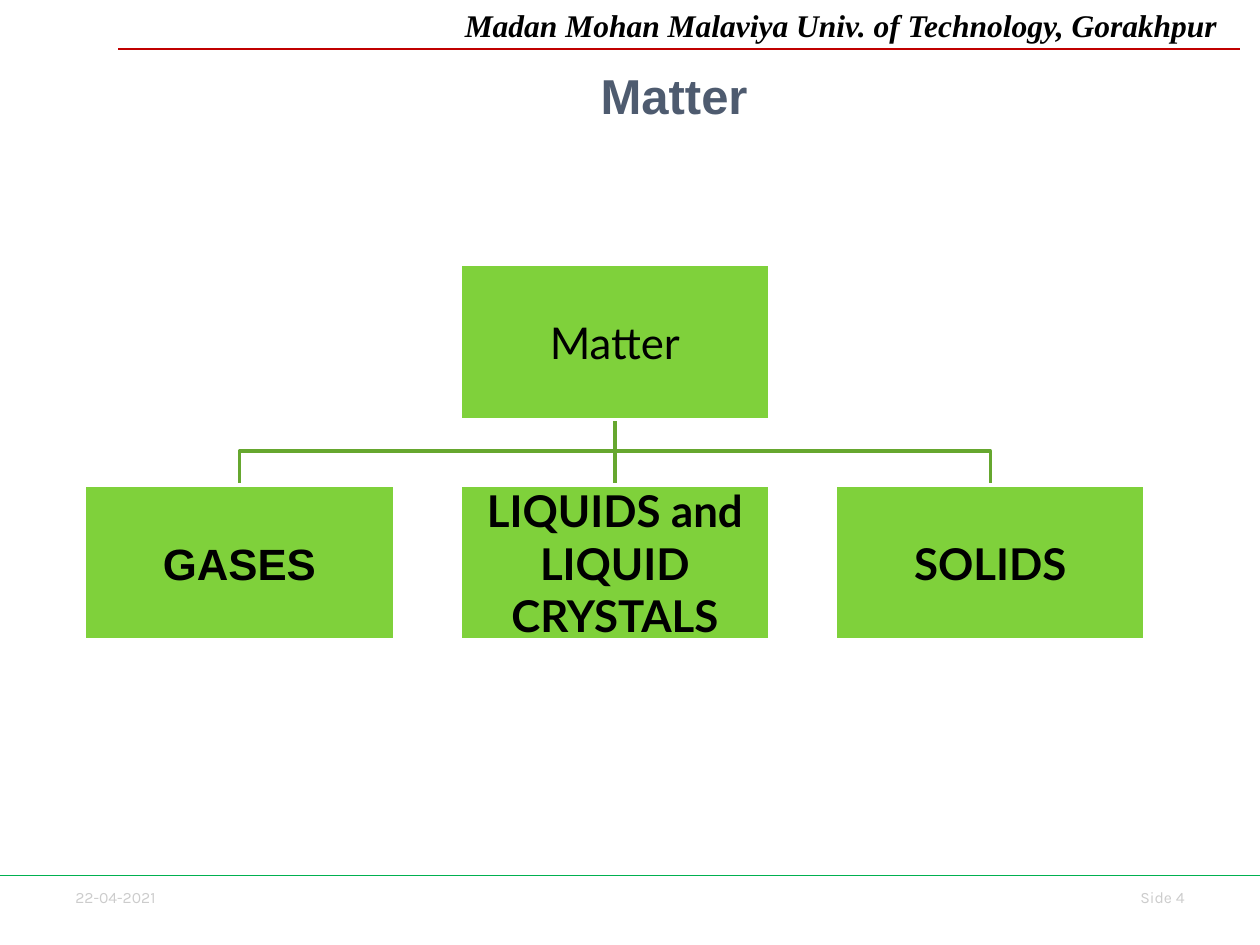
from lxml import etree
from pptx import Presentation
from pptx.dml.color import RGBColor
from pptx.enum.shapes import MSO_CONNECTOR, MSO_SHAPE
from pptx.enum.text import MSO_ANCHOR, PP_ALIGN
from pptx.oxml.ns import qn
from pptx.util import Inches, Pt

STRAIGHT = MSO_CONNECTOR.STRAIGHT
RECTANGLE = MSO_SHAPE.RECTANGLE
TOP, MIDDLE = MSO_ANCHOR.TOP, MSO_ANCHOR.MIDDLE
LEFT, CENTER, RIGHT = PP_ALIGN.LEFT, PP_ALIGN.CENTER, PP_ALIGN.RIGHT

BOX_WIDTH, BOX_HEIGHT = 2.46, 1.23
BRANCHES = [
    ("GASES", "Arial"),
    ("LIQUIDS and LIQUID CRYSTALS", "Lato"),
    ("SOLIDS", "Lato"),
]


def color(value):
    """Turn a hex string into a colour."""
    return RGBColor.from_string(value)


def write(shape, text, size, font="Arial", fill="000000", bold=False,
          italic=False, align=LEFT, anchor=TOP, inset=None):
    """Put one formatted paragraph into a shape."""
    frame = shape.text_frame
    frame.word_wrap = True
    frame.vertical_anchor = anchor
    if inset is not None:
        frame.margin_left = frame.margin_right = Inches(inset)
        frame.margin_top = frame.margin_bottom = Inches(inset)
    paragraph = frame.paragraphs[0]
    paragraph.alignment = align
    run = paragraph.add_run()
    run.text = text
    run.font.size = Pt(size)
    run.font.name = font
    run.font.bold = bold
    run.font.italic = italic
    run.font.color.rgb = color(fill)


def add_text(slide, left, top, width, height, text, **style):
    """Add a text box holding one paragraph."""
    box = slide.shapes.add_textbox(
        Inches(left), Inches(top), Inches(width), Inches(height))
    write(box, text, **style)


def add_line(slide, left, top, right, bottom, fill, width):
    """Add a straight line without a shadow."""
    line = slide.shapes.add_connector(
        STRAIGHT, Inches(left), Inches(top), Inches(right), Inches(bottom))
    line.line.color.rgb = color(fill)
    line.line.width = Pt(width)
    etree.SubElement(line._element.spPr, qn("a:effectLst"))
    return line


def add_header(slide, left, top, width):
    """Add the university name, its rule and the slide title."""
    add_text(slide, left + 2.65, top, width - 2.49, 0.4,
             "Madan Mohan Malaviya Univ. of Technology, Gorakhpur",
             size=18, font="Times New Roman", bold=True, italic=True)
    add_line(slide, left, top + 0.39, left + width, top + 0.39, "C00000", 0.75)
    add_text(slide, left + 0.12, top + 0.44, 8.58, 0.63, "Matter", size=28,
             fill="4E5B6F", bold=True, align=CENTER, anchor=MIDDLE)


def add_footer(slide, left, top, width):
    """Add the bottom rule with the date and slide number."""
    add_line(slide, left, top, left + width, top, "00B050", 0.75)
    style = {"size": 9, "font": "Karla", "fill": "CCCCCC"}
    add_text(slide, left + 0.5, top + 0.05, 1.03, 0.25, "22-04-2021", **style)
    add_text(slide, left + width - 1.33, top + 0.05, 0.83, 0.25, "Side 4",
             align=RIGHT, **style)


def add_box(slide, left, top, text, font, bold):
    """Add one green box of the hierarchy."""
    box = slide.shapes.add_shape(
        RECTANGLE, Inches(left), Inches(top),
        Inches(BOX_WIDTH), Inches(BOX_HEIGHT))
    box.shadow.inherit = False
    box.fill.solid()
    box.fill.fore_color.rgb = color("7FD13B")
    box.line.color.rgb = color("FFFFFF")
    box.line.width = Pt(2)
    write(box, text, size=25, font=font, bold=bold, align=CENTER,
          anchor=MIDDLE, inset=0.02)
    return box


def add_elbow(slide, start_x, start_y, end_x, end_y):
    """Add an open path that goes down, across and down."""
    middle_y = start_y + 0.25
    points = [(start_x, middle_y), (end_x, middle_y), (end_x, end_y)]
    builder = slide.shapes.build_freeform(Inches(start_x), Inches(start_y))
    builder.add_line_segments(
        [(Inches(x), Inches(y)) for x, y in points], close=False)
    elbow = builder.convert_to_shape()
    elbow.shadow.inherit = False
    elbow.fill.background()
    elbow.line.color.rgb = color("66A72F")
    elbow.line.width = Pt(2)


def add_hierarchy(slide, left, top, width):
    """Add the root box, its branches and the lines between them."""
    step = (width - BOX_WIDTH) / (len(BRANCHES) - 1)
    root_left = left + (width - BOX_WIDTH) / 2
    root_x = root_left + BOX_WIDTH / 2
    root_bottom = top + BOX_HEIGHT
    branch_top = top + 1.75
    lefts = [left + index * step for index in range(len(BRANCHES))]
    for branch_left in (lefts[-1], lefts[0]):
        add_elbow(slide, root_x, root_bottom,
                  branch_left + BOX_WIDTH / 2, branch_top)
    stem = add_line(slide, root_x, root_bottom, root_x, branch_top,
                    "66A72F", 2)
    root = add_box(slide, root_left, top, "Matter", "Lato", False)
    branches = [add_box(slide, branch_left, branch_top, text, font, True)
                for branch_left, (text, font) in zip(lefts, BRANCHES)]
    stem.begin_connect(root, 2)
    stem.end_connect(branches[1], 0)


def main():
    """Build the slide and save it."""
    presentation = Presentation()
    presentation.slide_width = Inches(10)
    presentation.slide_height = Inches(7.5)
    slide = presentation.slides.add_slide(presentation.slide_layouts[6])
    add_footer(slide, 0, 6.95, 10)
    add_header(slide, 0.94, 0, 8.9)
    add_hierarchy(slide, 0.67, 2.1, 8.42)
    presentation.save("out.pptx")


if __name__ == "__main__":
    main()
